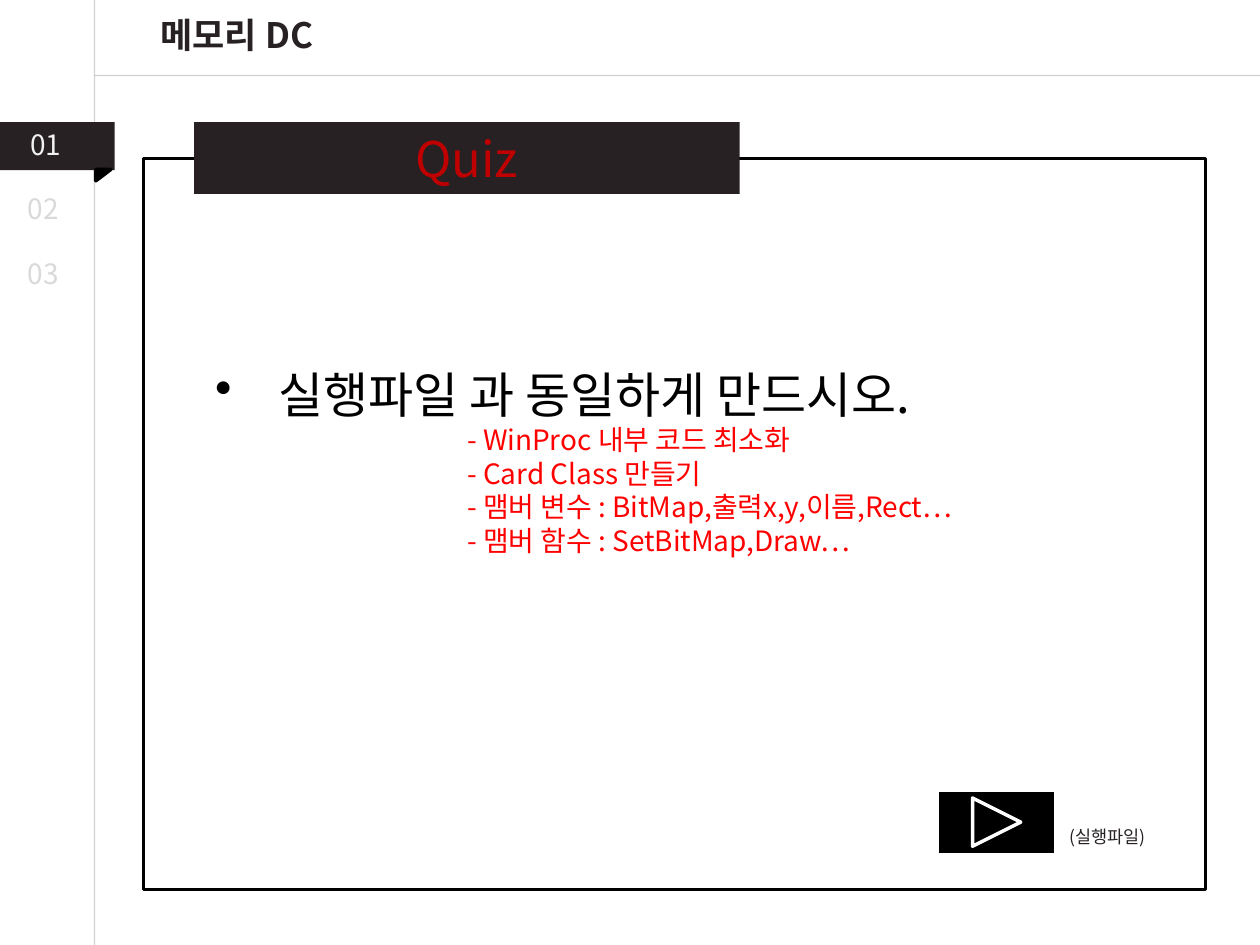
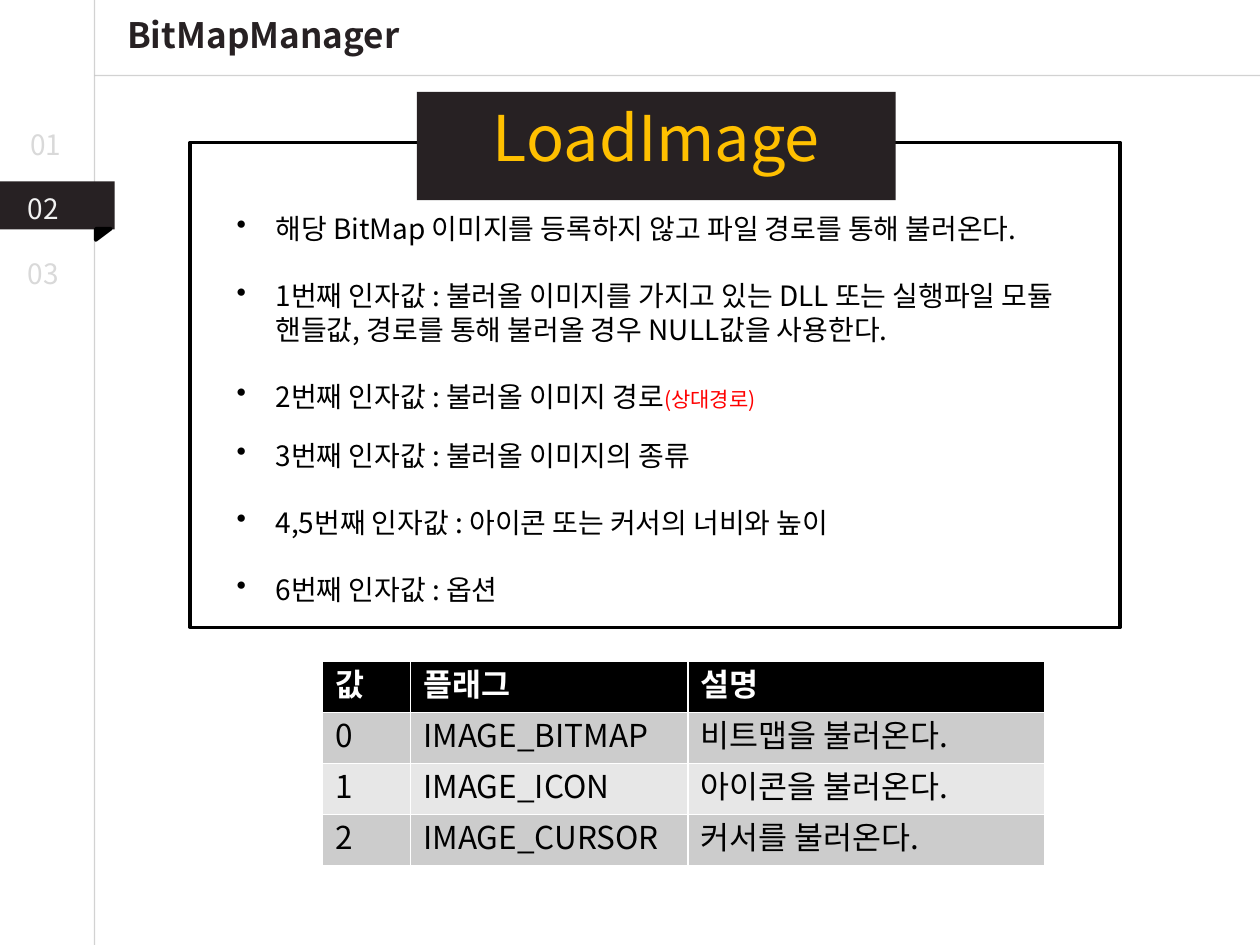
"""Build two lecture slides on memory DCs and bitmap loading."""
from dataclasses import dataclass
from typing import NamedTuple

from lxml import etree
from pptx import Presentation
from pptx import util as u
from pptx.dml.color import RGBColor
from pptx.enum import shapes, text
from pptx.oxml import ns

FONT = "Noto Sans CJK KR"
LINE_HEIGHT = 1.2

BLACK = RGBColor(0x00, 0x00, 0x00)
WHITE = RGBColor(0xFF, 0xFF, 0xFF)
INK = RGBColor(0x27, 0x21, 0x23)
RULE_GREY = RGBColor(0xA6, 0xA6, 0xA6)
TAB_IDLE = RGBColor(0xD9, 0xD9, 0xD9)
TAB_ACTIVE = RGBColor(0xF2, 0xF2, 0xF2)
DARK_RED = RGBColor(0xC0, 0x00, 0x00)
RED = RGBColor(0xFF, 0x00, 0x00)
AMBER = RGBColor(0xFF, 0xC0, 0x00)
ROW_FILLS = (RGBColor(0xCC, 0xCC, 0xCC), RGBColor(0xE7, 0xE7, 0xE7))

# The slide is a grid of 100 columns by 75 rows.
SLIDE_WIDTH, SLIDE_HEIGHT = u.Inches(10), u.Inches(7.5)
COLUMNS, ROWS = 100, 75
COLUMN, ROW = SLIDE_WIDTH / COLUMNS, SLIDE_HEIGHT / ROWS
SIDEBAR_COLUMN, HEADER_ROW = 7.5, 6


class Box(NamedTuple):
    """A place on the grid, in columns and rows."""
    left: float
    top: float
    width: float
    height: float

    def emu(self) -> tuple[int, int, int, int]:
        """Return the place as lengths for python-pptx."""
        return (round(self.left * COLUMN), round(self.top * ROW),
                round(self.width * COLUMN), round(self.height * ROW))


class Style(NamedTuple):
    """How a paragraph's text looks."""
    size: float
    color: RGBColor
    bold: bool = False
    align: text.PP_ALIGN = text.PP_ALIGN.LEFT


class Chapter(NamedTuple):
    """A numbered tab in the sidebar."""
    number: str
    label: Box
    ribbon_top: float


@dataclass
class Line:
    """One paragraph of body text; indents are in columns."""
    words: str
    style: Style
    indent: float = 0
    bullet: bool = False
    gap: float = 0
    accent: str = ""


@dataclass
class Panel:
    """A framed area with a dark heading band over its top edge."""
    frame: Box
    band: Box
    heading: str
    style: Style


CHAPTERS = (
    Chapter("01", Box(1.4, 9.6, 5.9, 3.7), 9.7),
    Chapter("02", Box(1.2, 14.7, 4.9, 3.7), 14.4),
    Chapter("03", Box(1.2, 19.9, 4.9, 3.7), 19.6),
)

TITLE = Style(20, INK, True, text.PP_ALIGN.CENTER)
TASK = Style(28, BLACK)
HINT = Style(16, RED)
BODY = Style(16, BLACK)
ACCENT = Style(12, RED)
CAPTION = Style(10, INK)
TABLE_HEAD = Style(18, WHITE, True)
TABLE_BODY = Style(18, BLACK)

QUIZ = Panel(Box(11.4, 12.6, 84.3, 58), Box(15.4, 9.7, 43.3, 5.7), "Quiz",
             Style(28, DARK_RED, align=text.PP_ALIGN.CENTER))
QUIZ_LINES = [Line("실행파일 과 동일하게 만드시오.", TASK, 5, True)] + [
    Line(hint, HINT, 20) for hint in (
        "- WinProc 내부 코드 최소화",
        "- Card Class 만들기",
        "- 맴버 변수 : BitMap,출력x,y,이름,Rect…",
        "- 맴버 함수 : SetBitMap,Draw…",
    )]

LOAD_IMAGE = Panel(Box(15.1, 11.3, 73.8, 38.5), Box(33.1, 7.3, 38, 8.6),
                   "LoadImage",
                   Style(36, AMBER, align=text.PP_ALIGN.CENTER))
FULL_GAP, SMALL_GAP = (LINE_HEIGHT * style.size for style in (BODY, ACCENT))
ARGUMENT_LINES = [
    Line(words, BODY, 3.1, True, gap, accent) for words, gap, accent in (
        ("해당 BitMap 이미지를 등록하지 않고 파일 경로를 통해 불러온다.", 0, ""),
        ("1번째 인자값 : 불러올 이미지를 가지고 있는 DLL 또는 실행파일 "
         "모듈 핸들값, 경로를 통해 불러올 경우 NULL값을 사용한다.",
         FULL_GAP, ""),
        ("2번째 인자값 : 불러올 이미지 경로", FULL_GAP, "(상대경로)"),
        ("3번째 인자값 : 불러올 이미지의 종류", SMALL_GAP, ""),
        ("4,5번째 인자값 : 아이콘 또는 커서의 너비와 높이", FULL_GAP, ""),
        ("6번째 인자값 : 옵션", FULL_GAP, ""),
    )]

FLAG_COLUMNS = (7, 22, 28.3)
FLAG_ROW_HEIGHT = 4.05
FLAGS = (
    ("값", "플래그", "설명"),
    ("0", "IMAGE_BITMAP", "비트맵을 불러온다."),
    ("1", "IMAGE_ICON", "아이콘을 불러온다."),
    ("2", "IMAGE_CURSOR", "커서를 불러온다."),
)


def format_paragraph(paragraph, style: Style) -> None:
    """Give a paragraph its font, colour, alignment and line height."""
    paragraph.alignment = style.align
    paragraph.line_spacing = u.Pt(LINE_HEIGHT * style.size)
    font = paragraph.font
    font.size, font.bold, font.name = u.Pt(style.size), style.bold, FONT
    font.color.rgb = style.color
    east_asian = etree.SubElement(font._element, ns.qn("a:ea"))
    east_asian.set("typeface", FONT)


def indent_paragraph(paragraph, line: Line) -> None:
    """Set the left indent and, where asked for, a hanging bullet."""
    properties = paragraph._p.get_or_add_pPr()
    margin = round(line.indent * COLUMN)
    properties.set("marL", str(margin))
    if line.bullet:
        properties.set("indent", str(-margin))
        bullet = etree.Element(ns.qn("a:buChar"), char="•")
        properties.find(ns.qn("a:defRPr")).addprevious(bullet)


def add_text(slide, box: Box, lines: list[Line]) -> None:
    """Add a wrapping text box holding the given lines."""
    frame = slide.shapes.add_textbox(*box.emu()).text_frame
    frame.word_wrap = True
    for index, line in enumerate(lines):
        paragraph = frame.add_paragraph() if index else frame.paragraphs[0]
        paragraph.add_run().text = line.words
        format_paragraph(paragraph, line.style)
        paragraph.space_before = u.Pt(line.gap)
        indent_paragraph(paragraph, line)
        if line.accent:
            accent = paragraph.add_run()
            accent.text = line.accent
            accent.font.size = u.Pt(ACCENT.size)
            accent.font.color.rgb = ACCENT.color


def add_block(slide, kind, box: Box, fill: RGBColor | None = None,
              outline: RGBColor | None = None):
    """Add a preset shape with an optional fill and 2-point outline."""
    block = slide.shapes.add_shape(kind, *box.emu())
    block.shadow.inherit = False
    if fill is None:
        block.fill.background()
    else:
        block.fill.solid()
        block.fill.fore_color.rgb = fill
    if outline is None:
        block.line.fill.background()
    else:
        block.line.color.rgb = outline
        block.line.width = u.Pt(2)
    return block


def add_rule(slide, start: tuple[float, float],
             end: tuple[float, float]) -> None:
    """Draw a thin, half-transparent grey rule between two grid points."""
    ends = [round(value * unit) for point in (start, end)
            for value, unit in zip(point, (COLUMN, ROW))]
    rule = slide.shapes.add_connector(shapes.MSO_CONNECTOR.STRAIGHT, *ends)
    rule.line.color.rgb = RULE_GREY
    rule.line.width = u.Pt(0.75)
    properties = rule._element.spPr
    color = properties.find(".//" + ns.qn("a:srgbClr"))
    etree.SubElement(color, ns.qn("a:alpha")).set("val", "50000")
    etree.SubElement(properties, ns.qn("a:effectLst"))


def add_ribbon(slide, top: float) -> None:
    """Draw the folded ribbon behind the active chapter number."""
    add_block(slide, shapes.MSO_SHAPE.RECTANGLE, Box(0, top, 9.1, 3.8), INK)
    fold = add_block(slide, shapes.MSO_SHAPE.RIGHT_TRIANGLE,
                     Box(7.75, top + 3.6, 0.9, 1.2), BLACK, BLACK)
    fold.rotation = 90


def add_page(deck, title: str, title_width: float, active: str):
    """Add a slide with its title, rules and chapter sidebar."""
    slide = deck.slides.add_slide(deck.slide_layouts[5])
    heading = slide.shapes.title
    (heading.left, heading.top,
     heading.width, heading.height) = Box(8.1, 0.6, title_width, 4.4).emu()
    frame = heading.text_frame
    frame.text = title
    frame.auto_size = text.MSO_AUTO_SIZE.NONE
    frame.vertical_anchor = text.MSO_ANCHOR.TOP
    format_paragraph(frame.paragraphs[0], TITLE)

    add_rule(slide, (SIDEBAR_COLUMN, 0), (SIDEBAR_COLUMN, ROWS))
    add_rule(slide, (COLUMNS, HEADER_ROW), (SIDEBAR_COLUMN, HEADER_ROW))
    for chapter in CHAPTERS:
        color = TAB_IDLE
        if chapter.number == active:
            add_ribbon(slide, chapter.ribbon_top)
            color = TAB_ACTIVE
        add_text(slide, chapter.label,
                 [Line(chapter.number, Style(16, color))])
    return slide


def add_panel(slide, panel: Panel) -> None:
    """Draw a frame and the heading band that overlaps it."""
    add_block(slide, shapes.MSO_SHAPE.RECTANGLE, panel.frame, outline=BLACK)
    band = add_block(slide, shapes.MSO_SHAPE.RECTANGLE, panel.band, INK)
    band.text_frame.text = panel.heading
    band.text_frame.vertical_anchor = text.MSO_ANCHOR.TOP
    format_paragraph(band.text_frame.paragraphs[0], panel.style)


def add_flag_table(slide) -> None:
    """Add the table of image flags with its header and shaded rows."""
    place = Box(25.6, 52.5, sum(FLAG_COLUMNS), FLAG_ROW_HEIGHT * len(FLAGS))
    table = slide.shapes.add_table(len(FLAGS), len(FLAG_COLUMNS),
                                   *place.emu()).table
    for column, width in zip(table.columns, FLAG_COLUMNS):
        column.width = round(width * COLUMN)
    for row, values in enumerate(FLAGS):
        fill = ROW_FILLS[(row - 1) % 2] if row else BLACK
        for column, value in enumerate(values):
            cell = table.cell(row, column)
            cell.text = value
            cell.fill.solid()
            cell.fill.fore_color.rgb = fill
            format_paragraph(cell.text_frame.paragraphs[0],
                             TABLE_BODY if row else TABLE_HEAD)


def build_quiz(deck) -> None:
    """Build the quiz slide."""
    slide = add_page(deck, "메모리 DC", 21.4, "01")
    add_panel(slide, QUIZ)
    add_text(slide, Box(16.1, 28.4, 80.7, 16.5), QUIZ_LINES)
    add_block(slide, shapes.MSO_SHAPE.ACTION_BUTTON_FORWARD_OR_NEXT,
              Box(74.4, 62.7, 9.4, 5.1), BLACK, WHITE)
    add_text(slide, Box(83.9, 65.1, 8.6, 2.7), [Line("(실행파일)", CAPTION)])


def build_load_image(deck) -> None:
    """Build the slide on the LoadImage arguments and flags."""
    slide = add_page(deck, "BitMapManager", 25.6, "02")
    add_panel(slide, LOAD_IMAGE)
    add_text(slide, Box(17.8, 16.3, 70.6, 32.6), ARGUMENT_LINES)
    add_flag_table(slide)


def main() -> None:
    """Build and save the presentation."""
    deck = Presentation()
    deck.slide_width, deck.slide_height = SLIDE_WIDTH, SLIDE_HEIGHT
    build_quiz(deck)
    build_load_image(deck)
    deck.save("out.pptx")


main()
